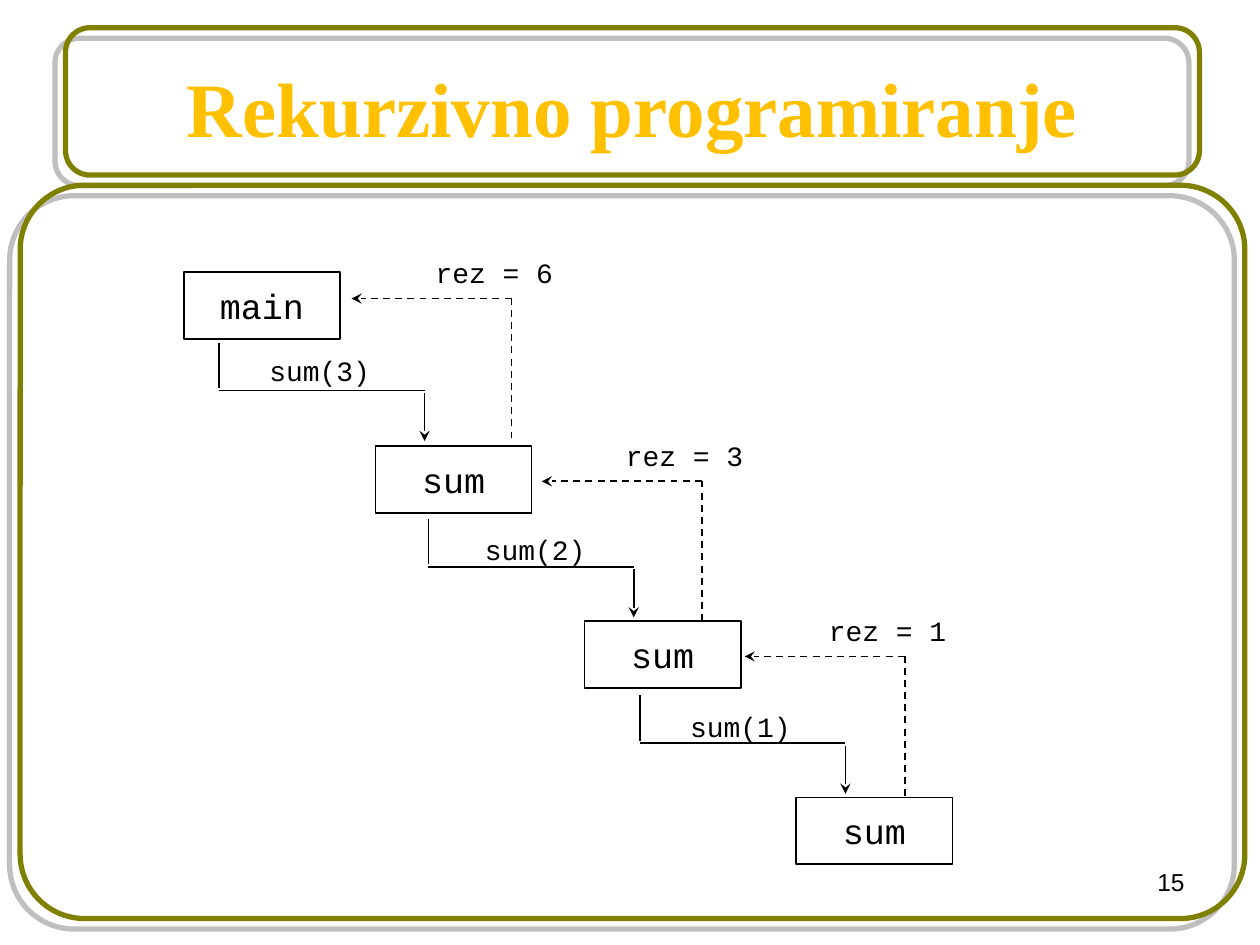
from pptx import Presentation
from pptx.dml.color import RGBColor
from pptx.enum.dml import MSO_LINE
from pptx.enum.shapes import MSO_CONNECTOR, MSO_SHAPE
from pptx.enum.text import MSO_ANCHOR, MSO_AUTO_SIZE, PP_ALIGN
from pptx.oxml import parse_xml
from pptx.oxml.ns import nsdecls, qn
from pptx.util import Inches, Pt
from lxml import etree

BLACK = RGBColor(0x00, 0x00, 0x00)
OLIVE = RGBColor(0x80, 0x80, 0x00)
AMBER = RGBColor(0xFF, 0xC0, 0x00)

DASH = MSO_LINE.DASH
STRAIGHT = MSO_CONNECTOR.STRAIGHT
RECTANGLE = MSO_SHAPE.RECTANGLE
ROUNDED = MSO_SHAPE.ROUNDED_RECTANGLE
MIDDLE = MSO_ANCHOR.MIDDLE
FIT_SHAPE = MSO_AUTO_SIZE.SHAPE_TO_FIT_TEXT
LEFT, CENTER, RIGHT = PP_ALIGN.LEFT, PP_ALIGN.CENTER, PP_ALIGN.RIGHT

TITLE_FONT, CODE_FONT, NUMBER_FONT = "Times New Roman", "Courier New", "Arial"

SHADOW = (
    f'<a:effectLst {nsdecls("a")}>'
    '<a:outerShdw dist="107950" dir="8100000" algn="ctr" rotWithShape="0">'
    '<a:srgbClr val="808080"><a:alpha val="50000"/></a:srgbClr>'
    "</a:outerShdw></a:effectLst>"
)

# name, left, top
CALL_BOXES = [("main", 1.46, 2.16), ("sum", 2.98, 3.54),
              ("sum", 4.64, 4.93), ("sum", 6.32, 6.33)]
# label, label left, label top, start x, start y
CALLS = [("sum(3)", 2.04, 2.76, 1.74, 2.72),
         ("sum(2)", 3.75, 4.18, 3.40, 4.12),
         ("sum(1)", 5.38, 5.58, 5.08, 5.52)]
# label, start x, start y
RETURNS = [("rez = 6", 4.06, 3.48), ("rez = 3", 5.57, 4.93),
           ("rez = 1", 7.18, 6.32)]


def write(frame, text, size, font, align, color=BLACK, bold=False):
    frame.text = text
    para = frame.paragraphs[0]
    para.alignment = align
    para.font.size = Pt(size)
    para.font.name = font
    para.font.bold = bold
    para.font.color.rgb = color


def add_outline(page, kind, left, top, width, height, color, weight):
    """Add an unfilled shape."""
    shape = page.shapes.add_shape(
        kind, Inches(left), Inches(top), Inches(width), Inches(height))
    shape.shadow.inherit = False
    shape.fill.background()
    shape.line.color.rgb = color
    shape.line.width = Pt(weight)
    return shape


def add_panel(page, left, top, width, height, rounding):
    panel = add_outline(page, ROUNDED, left, top, width, height, OLIVE, 3)
    panel.adjustments[0] = rounding
    properties = panel._element.spPr
    properties.replace(properties.find(qn("a:effectLst")), parse_xml(SHADOW))


def add_line(page, start, end, dashed=False, arrow=False):
    line = page.shapes.add_connector(
        STRAIGHT, *(Inches(value) for value in (*start, *end)))
    line.line.color.rgb = BLACK
    line.line.width = Pt(1)
    if dashed:
        line.line.dash_style = DASH
    if arrow:
        etree.SubElement(line.line._get_or_add_ln(), qn("a:tailEnd"),
                         type="stealth")
    etree.SubElement(line._element.spPr, qn("a:effectLst"))


def add_label(page, text, left, top, width):
    label = page.shapes.add_textbox(
        Inches(left), Inches(top), Inches(width), Inches(0.37))
    label.text_frame.word_wrap = False
    label.text_frame.auto_size = FIT_SHAPE
    write(label.text_frame, text, 16, CODE_FONT, LEFT)


def add_call_box(page, name, left, top):
    box = add_outline(page, RECTANGLE, left, top, 1.24, 0.53, BLACK, 1)
    box.text_frame.word_wrap = False
    box.text_frame.vertical_anchor = MIDDLE
    write(box.text_frame, name, 20, CODE_FONT, CENTER)


def add_call(page, text, label_left, label_top, x, y):
    """Draw the solid path down to the called function."""
    right = x + 1.63
    add_line(page, (x, y), (x, y + 0.36))
    add_line(page, (x, y + 0.38), (right, y + 0.38))
    add_line(page, (right, y + 0.4), (right, y + 0.78), arrow=True)
    add_label(page, text, label_left, label_top, 1)


def add_return(page, text, x, y):
    """Draw the dashed path back up to the caller."""
    corner = (x, y - 1.11)
    add_line(page, (x, y), corner, dashed=True)
    add_line(page, corner, (x - 1.27, corner[1]), dashed=True, arrow=True)
    add_label(page, text, x - 0.7, corner[1] - 0.39, 1.13)


def add_title(page, left, top, width, height):
    title = page.shapes.title
    title.left, title.top = Inches(left), Inches(top)
    title.width, title.height = Inches(width), Inches(height)
    title.text_frame.vertical_anchor = MIDDLE
    write(title.text_frame, "Rekurzivno programiranje", 44, TITLE_FONT,
          CENTER, AMBER, bold=True)
    add_panel(page, left, top, width, 1.17, 0.167)


def add_call_diagram(page):
    for call_box in CALL_BOXES:
        add_call_box(page, *call_box)
    for call in CALLS:
        add_call(page, *call)
    for result in RETURNS:
        add_return(page, *result)


def add_page_number(page, left, top, width, height):
    number = page.shapes.add_textbox(
        Inches(left), Inches(top), Inches(width), Inches(height))
    number.text_frame.word_wrap = True
    write(number.text_frame, "15", 14, NUMBER_FONT, RIGHT)


def main():
    deck = Presentation()
    deck.slide_width, deck.slide_height = Inches(10), Inches(7.5)
    page = deck.slides.add_slide(deck.slide_layouts.get_by_name("Title Only"))
    add_title(page, 0.52, 0.22, 9, 1.25)
    add_panel(page, 0.16, 1.47, 9.72, 5.82, 0.088)
    add_call_diagram(page)
    add_page_number(page, 7.17, 6.83, 2.33, 0.52)
    deck.save("out.pptx")


if __name__ == "__main__":
    main()
